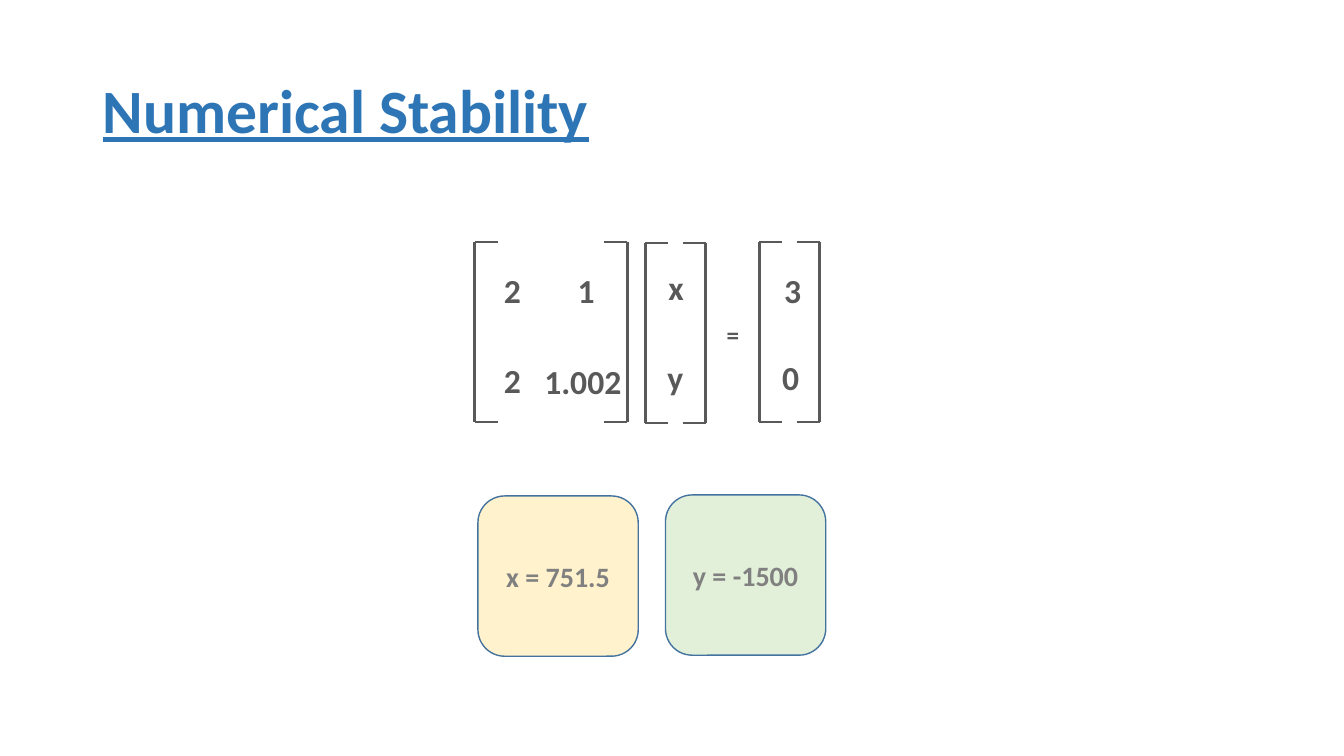
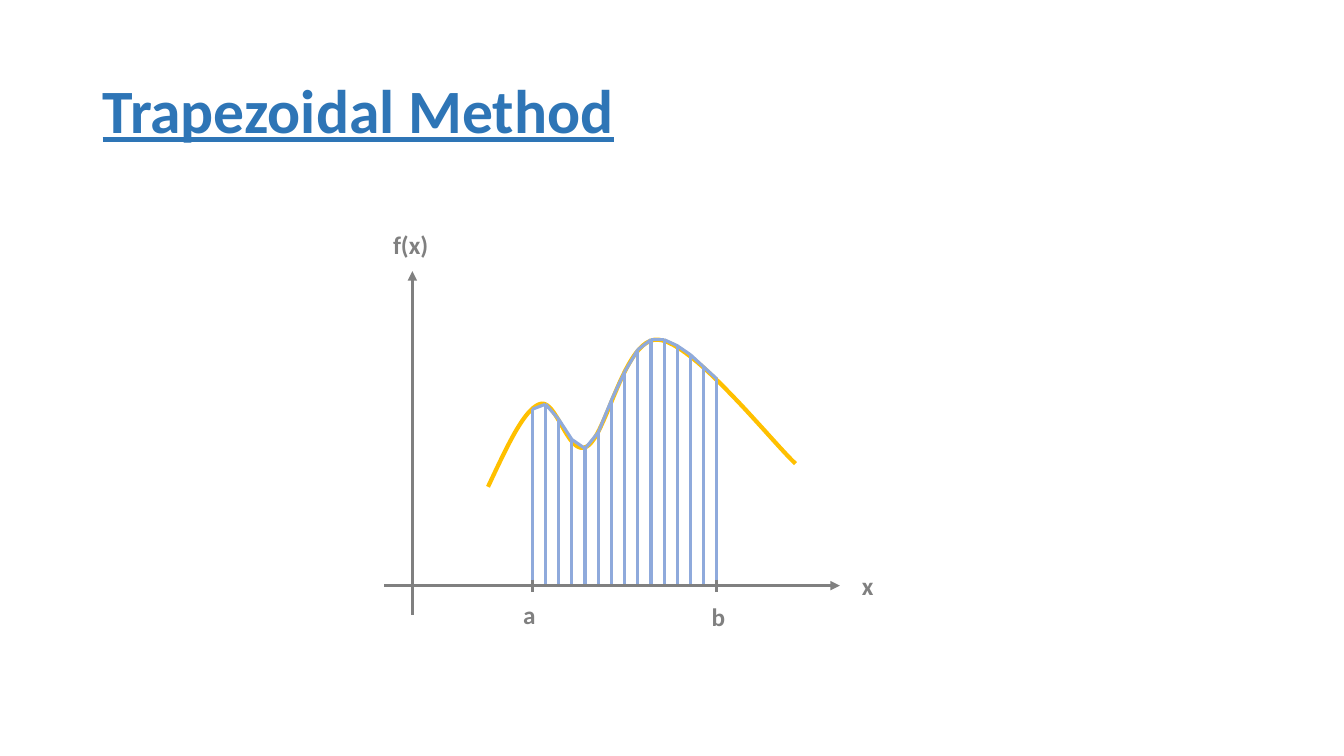
"""Builds two slides on numerical stability and the trapezoidal method."""
from dataclasses import dataclass
from itertools import pairwise

from lxml import etree
from pptx import Presentation
from pptx.dml.color import RGBColor
from pptx.enum.shapes import MSO_CONNECTOR, MSO_SHAPE
from pptx.enum.text import MSO_ANCHOR, MSO_AUTO_SIZE, PP_ALIGN
from pptx.oxml.ns import qn
from pptx.util import Inches, Pt

STRAIGHT = MSO_CONNECTOR.STRAIGHT
ROUND = MSO_SHAPE.ROUNDED_RECTANGLE
MIDDLE = MSO_ANCHOR.MIDDLE
GROW = MSO_AUTO_SIZE.SHAPE_TO_FIT_TEXT
CENTER = PP_ALIGN.CENTER


@dataclass(frozen=True)
class Theme:
    font: str = "Calibri"
    title: str = "2E75B6"
    dark: str = "595959"
    gray: str = "808080"
    edge: str = "43739E"
    cream: str = "FFF2CC"
    mint: str = "E2F0D9"
    gold: str = "FFC000"
    blue: str = "8FAADC"
    head: int = 44
    cell: int = 24
    root: int = 20
    label: int = 18
    thin: float = 1.5
    bold: float = 2.25
    curve: float = 3


theme = Theme()


def write(shape, text, size, color):
    """Put one bold line of text in a shape and return its paragraph."""
    para = shape.text_frame.paragraphs[0]
    para.text = text
    font = para.runs[0].font
    font.name, font.size, font.bold = theme.font, Pt(size), True
    font.color.rgb = RGBColor.from_string(color)
    return para


def draw(slide, start, end, color, width=theme.bold, arrow=False):
    """Draw a straight line, with an arrowhead at its end if asked."""
    line = slide.shapes.add_connector(STRAIGHT, *map(Inches, (*start, *end)))
    line.line.color.rgb = RGBColor.from_string(color)
    line.line.width = Pt(width)
    if arrow:
        etree.SubElement(line.line._get_or_add_ln(), qn("a:tailEnd"), type="triangle")
    etree.SubElement(line._element.spPr, qn("a:effectLst"))


deck = Presentation()
deck.slide_width, deck.slide_height = Inches(13.33), Inches(7.5)

slides = []
for name in ("Numerical Stability", "Trapezoidal Method"):
    slide = deck.slides.add_slide(deck.slide_layouts[6])
    box = slide.shapes.add_textbox(*map(Inches, (0.92, 0.4, 11.5, 1.45)))
    box.text_frame.word_wrap = True
    box.text_frame.vertical_anchor = MIDDLE
    para = write(box, name, theme.head, theme.title)
    para.line_spacing = 0.9
    para.runs[0].font.underline = True
    slides.append(slide)
matrix, graph = slides

tall, serif = 1.79, 0.23
for left, right, top in ((4.71, 6.22, 2.4), (6.4, 7, 2.41), (7.53, 8.13, 2.4)):
    low = top + tall
    for x, inner in ((left, left + serif), (right, right - serif)):
        draw(matrix, (x, top), (x, low), theme.dark)
        for y in (top, low):
            draw(matrix, (x, y), (inner, y), theme.dark, theme.thin)

cells = [
    ("2", 4.9, 2.63, 0.37), ("1", 5.63, 2.63, 0.37),
    ("2", 4.9, 3.52, 0.37), ("1.002", 5.3, 3.53, 0.97),
    ("x", 6.53, 2.6, 0.36), ("y", 6.52, 3.49, 0.36),
    ("3", 7.68, 2.63, 0.37), ("0", 7.66, 3.49, 0.37),
]
signs = [("=", 7.11, 3.12, 0.33)]
names = [
    ("x", 8.45, 5.61, 0.32), ("f(x)", 3.8, 2.23, 0.56),
    ("a", 5.09, 5.9, 0.33), ("b", 6.96, 5.92, 0.34),
]
groups = (
    (matrix, cells, 0.5, theme.cell, theme.dark),
    (matrix, signs, 0.4, theme.label, theme.dark),
    (graph, names, 0.4, theme.label, theme.gray),
)
for slide, items, height, size, color in groups:
    for text, left, top, width in items:
        box = slide.shapes.add_textbox(*map(Inches, (left, top, width, height)))
        box.text_frame.word_wrap = False
        box.text_frame.auto_size = GROW
        write(box, text, size, color)

roots = (("x = 751.5", 4.74, 4.92, theme.cream), ("y = -1500", 6.6, 4.91, theme.mint))
for text, left, top, fill in roots:
    card = matrix.shapes.add_shape(ROUND, *map(Inches, (left, top, 1.59, 1.59)))
    card.shadow.inherit = False
    card.fill.solid()
    card.fill.fore_color.rgb = RGBColor.from_string(fill)
    card.line.color.rgb = RGBColor.from_string(theme.edge)
    card.line.width = Pt(1)
    card.text_frame.vertical_anchor = MIDDLE
    write(card, text, theme.root, theme.gray).alignment = CENTER

base = 5.81
draw(graph, (4.09, 6.1), (4.09, 2.69), theme.gray, arrow=True)

knots = [
    (4.84, 4.83), (5.02, 4.45), (5.19, 4.07), (5.35, 4.01), (5.52, 3.94),
    (5.63, 4.54), (5.82, 4.43), (6.02, 4.32), (6.19, 3.34), (6.53, 3.37),
    (6.88, 3.4), (7.67, 4.4), (7.89, 4.6),
]
steps = 24
points = []
for i in range(0, len(knots) - 1, 3):
    for step in range(1, steps + 1):
        t = step / steps
        parts = ((1 - t) ** 3, 3 * t * (1 - t) ** 2, 3 * t**2 * (1 - t), t**3)
        spot = [sum(p * k for p, k in zip(parts, axis)) for axis in zip(*knots[i:i + 4])]
        points.append(tuple(map(Inches, spot)))
pen = graph.shapes.build_freeform(*map(Inches, knots[0]))
pen.add_line_segments(points, close=False)
curve = pen.convert_to_shape()
curve.shadow.inherit = False
curve.fill.background()
curve.line.color.rgb = RGBColor.from_string(theme.gold)
curve.line.width = Pt(theme.curve)

first, last = 5.28, 7.11
tops = [4.06, 4.01, 4.16, 4.36, 4.45, 4.29, 3.97, 3.69,
        3.47, 3.37, 3.37, 3.43, 3.52, 3.64, 3.76]
gap = (last - first) / (len(tops) - 1)
peaks = [(first + i * gap, top) for i, top in enumerate(tops)]
for x, top in peaks:
    draw(graph, (x, base), (x, top), theme.blue)
for start, end in pairwise(peaks):
    draw(graph, start, end, theme.blue)

draw(graph, (3.81, base), (8.33, base), theme.gray, arrow=True)
for x in (first, last):
    draw(graph, (x, base - 0.06), (x, base + 0.06), theme.gray)

deck.save("out.pptx")
